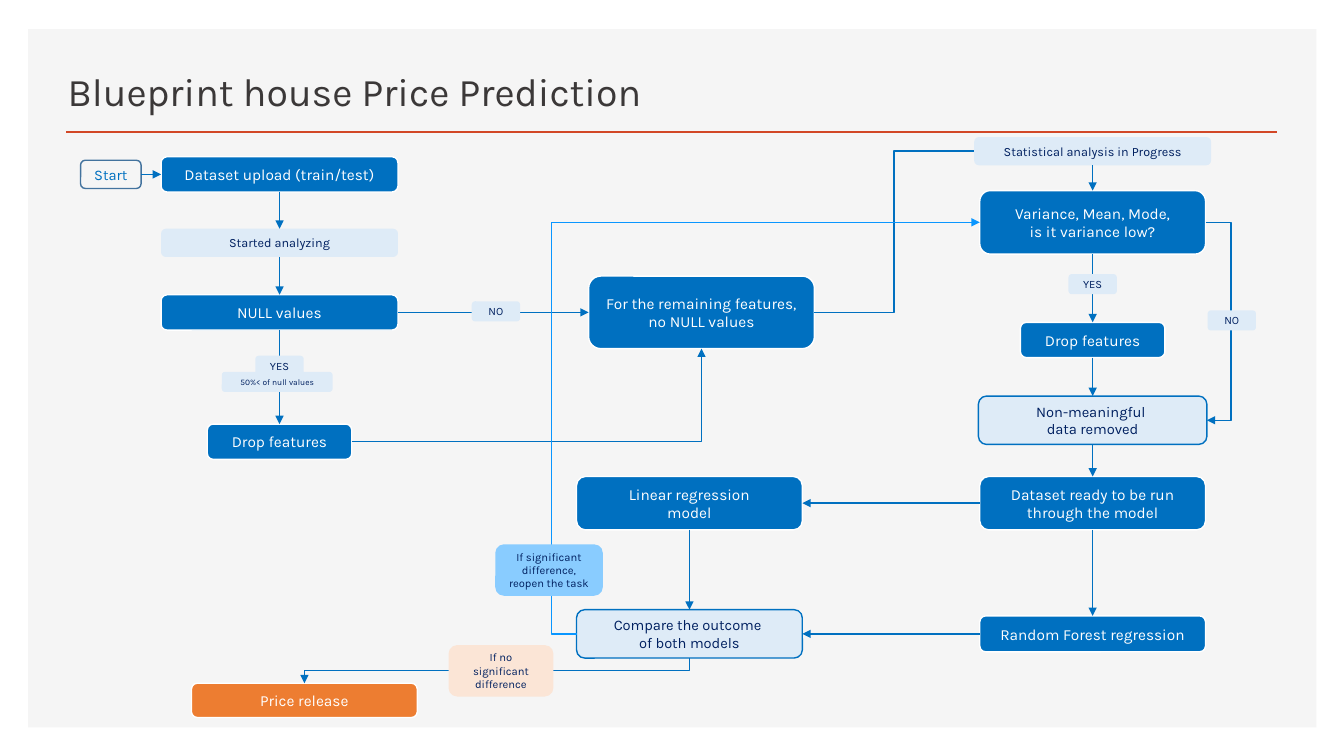
from pptx import Presentation
from pptx import util as u
from pptx.dml import color
from pptx.enum import shapes, text
from pptx.oxml import ns
from lxml import etree

deck = Presentation()
deck.slide_width, deck.slide_height = u.Inches(13.33), u.Inches(7.5)
cell = deck.slide_width / 40  # square grid: 40 columns by 22.5 rows
slide = deck.slides.add_slide(deck.slide_layouts[5])

BLUE, PALE, NAVY, WHITE = "0070C0", "DEEBF7", "002060", "FFFFFF"


def rgb(value):
    """Turn a hex string into a colour."""
    return color.RGBColor.from_string(value)


def write(shape, words, size=11, ink=WHITE, align=text.PP_ALIGN.CENTER,
          anchor=text.MSO_ANCHOR.MIDDLE):
    """Fill a shape with formatted text, one paragraph per line."""
    frame = shape.text_frame
    frame.text = words
    frame.word_wrap = True
    frame.auto_size = text.MSO_AUTO_SIZE.NONE
    frame.vertical_anchor = anchor
    for paragraph in frame.paragraphs:
        paragraph.alignment = align
        paragraph.font.name = "Karla"
        paragraph.font.size = u.Pt(size)
        paragraph.font.color.rgb = rgb(ink)


def add_box(middle, row, width, height, fill=None, line=None,
            kind=shapes.MSO_SHAPE.ROUNDED_RECTANGLE):
    """Add a box centred on a grid position, sized in cells."""
    box = slide.shapes.add_shape(
        kind, round((middle - width / 2) * cell), round((row - height / 2) * cell),
        round(width * cell), round(height * cell))
    box.shadow.inherit = False
    if fill:
        box.fill.solid()
        box.fill.fore_color.rgb = rgb(fill)
    else:
        box.fill.background()
    if line:
        box.line.color.rgb = rgb(line)
        box.line.width = u.Pt(1)
    else:
        box.line.fill.background()
    return box


def style_line(connector, ink, width, arrow=False):
    """Colour a connector, drop its shadow and add its arrowhead."""
    connector.line.color.rgb = rgb(ink)
    connector.line.width = u.Pt(width)
    properties = connector.element.spPr
    etree.SubElement(properties, ns.qn("a:effectLst"))
    if arrow:
        outline = properties.find(ns.qn("a:ln"))
        etree.SubElement(outline, ns.qn("a:tailEnd"), type="triangle")


# Panel, title and rule
title = slide.shapes.title
panel = add_box(20.01, 11.26, 38.34, 20.79, "F5F5F5", kind=shapes.MSO_SHAPE.RECTANGLE)
title.element.addprevious(panel.element)
title.left, title.top = round(1.71 * cell), round(1.47 * cell)
title.width, title.height = round(28.4 * cell), round(2.1 * cell)
write(title, "Blueprint house Price Prediction", size=28, ink="3B3838",
      align=text.PP_ALIGN.LEFT, anchor=text.MSO_ANCHOR.BOTTOM)
rule = slide.shapes.add_connector(
    shapes.MSO_CONNECTOR.STRAIGHT, *(round(n * cell) for n in (1.98, 3.93, 38.01, 3.93)))
style_line(rule, "D24726", 2)

# Steps of the flow: column centre, row centre, width, height
LEFT, MIDDLE, RIGHT = 8.32, 20.52, 32.52
task = dict(fill=BLUE, line=WHITE), dict(size=11, ink=WHITE)
status = dict(fill=PALE), dict(size=9, ink=NAVY)
result = dict(fill=PALE, line=BLUE), dict(size=10.5, ink=NAVY)
begin = dict(line="43739E"), dict(size=10.5, ink=BLUE)
release = dict(fill="ED7D31", line=WHITE), dict(size=11, ink=WHITE)
steps = {
    "start": ("Start", (3.3, 5.19, 1.8, 0.84), begin),
    "upload": ("Dataset upload (train/test)", (LEFT, 5.19, 7.05, 1.05), task),
    "analyzing": ("Started analyzing", (LEFT, 7.23, 7.05, 0.84), status),
    "nulls": ("NULL values", (LEFT, 9.3, 7.05, 1.05), task),
    "drop nulls": ("Drop features", (LEFT, 13.15, 4.3, 1.05), task),
    "remaining": ("For the remaining features, no NULL values",
                  (20.88, 9.3, 6.72, 2.16), task),
    "statistics": ("Statistical analysis in Progress", (RIGHT, 4.5, 7.05, 0.84), status),
    "variance": ("Variance, Mean, Mode,\nis it variance low?",
                 (RIGHT, 6.62, 6.72, 1.89), task),
    "drop low": ("Drop features", (RIGHT, 10.12, 4.3, 1.05), task),
    "removed": ("Non-meaningful \ndata removed", (RIGHT, 12.51, 6.8, 1.44), result),
    "ready": ("Dataset ready to be run through the model",
              (RIGHT, 14.98, 6.72, 1.59), task),
    "forest": ("Random Forest regression", (RIGHT, 18.87, 6.72, 1.07), task),
    "linear": ("Linear regression\nmodel", (MIDDLE, 14.98, 6.72, 1.59), task),
    "compare": ("Compare the outcome \nof both models", (MIDDLE, 18.87, 6.72, 1.44), result),
    "release": ("Price release", (9.06, 20.85, 6.72, 1.02), release),
}
boxes = {}
for step, (words, place, (look, letters)) in steps.items():
    boxes[step] = add_box(*place, **look)
    write(boxes[step], words, **letters)

# Straight arrows between connection sites
TOP, WEST, BOTTOM, EAST = range(4)
down = [("upload", "analyzing"), ("analyzing", "nulls"), ("nulls", "drop nulls"),
        ("statistics", "variance"), ("variance", "drop low"), ("drop low", "removed"),
        ("removed", "ready"), ("ready", "forest"), ("linear", "compare")]
across = [("start", EAST, "upload", WEST), ("nulls", EAST, "remaining", WEST),
          ("ready", WEST, "linear", EAST), ("forest", WEST, "compare", EAST)]
for source, leave, target, enter in [(a, BOTTOM, b, TOP) for a, b in down] + across:
    arrow = slide.shapes.add_connector(shapes.MSO_CONNECTOR.STRAIGHT, 0, 0, 0, 0)
    arrow.begin_connect(boxes[source], leave)
    arrow.end_connect(boxes[target], enter)
    style_line(arrow, BLUE, 1, arrow=True)

# Bent routes, with the column where each one turns
routes = [("drop nulls", EAST, "remaining", BOTTOM, None, BLUE),
          ("remaining", EAST, "statistics", WEST, 26.61, BLUE),
          ("variance", EAST, "removed", EAST, 36.63, BLUE),
          ("compare", BOTTOM, "release", TOP, None, BLUE),
          ("compare", WEST, "variance", WEST, 16.41, "0996FF")]
for source, leave, target, enter, turn, ink in routes:
    route = slide.shapes.add_connector(shapes.MSO_CONNECTOR.ELBOW, 0, 0, 0, 0)
    route.begin_connect(boxes[source], leave)
    route.end_connect(boxes[target], enter)
    style_line(route, ink, 1, arrow=target != "statistics")
    geometry = route.element.spPr.find(ns.qn("a:prstGeom"))
    if turn:
        share = (turn * cell - route.begin_x) / (route.end_x - route.begin_x)
        guides = geometry.find(ns.qn("a:avLst"))
        etree.SubElement(guides, ns.qn("a:gd"), name="adj1",
                         fmla=f"val {round(share * 100000)}")
    elif enter == BOTTOM:
        geometry.set("prst", "bentConnector2")
    else:  # leaves downwards: a quarter turn about its own centre
        wide, high = route.width, route.height
        route.left, route.top = route.left + (wide - high) // 2, route.top + (high - wide) // 2
        route.width, route.height = high, wide
        frame = route.element.spPr.find(ns.qn("a:xfrm"))
        frame.attrib.pop("flipH", None)
        frame.set("rot", "5400000")

# Labels lying on the routes
labels = [("YES", (LEFT, 10.89, 1.44, 0.6), PALE, 8),
          ("50%< of null values", (8.25, 11.37, 3.3, 0.6), PALE, 6),
          ("NO", (14.76, 9.27, 1.44, 0.6), PALE, 8),
          ("YES", (RIGHT, 8.46, 1.44, 0.6), PALE, 8),
          ("NO", (36.66, 9.54, 1.44, 0.6), PALE, 8),
          ("If no significant difference", (14.91, 19.97, 3.12, 1.53), "FBE5D6", 8),
          ("If significant difference, reopen the task",
           (16.34, 16.97, 3.2, 1.53), "89CCFF", 8)]
for words, place, fill, size in labels:
    write(add_box(*place, fill=fill), words, size=size, ink=NAVY)

deck.save("out.pptx")
